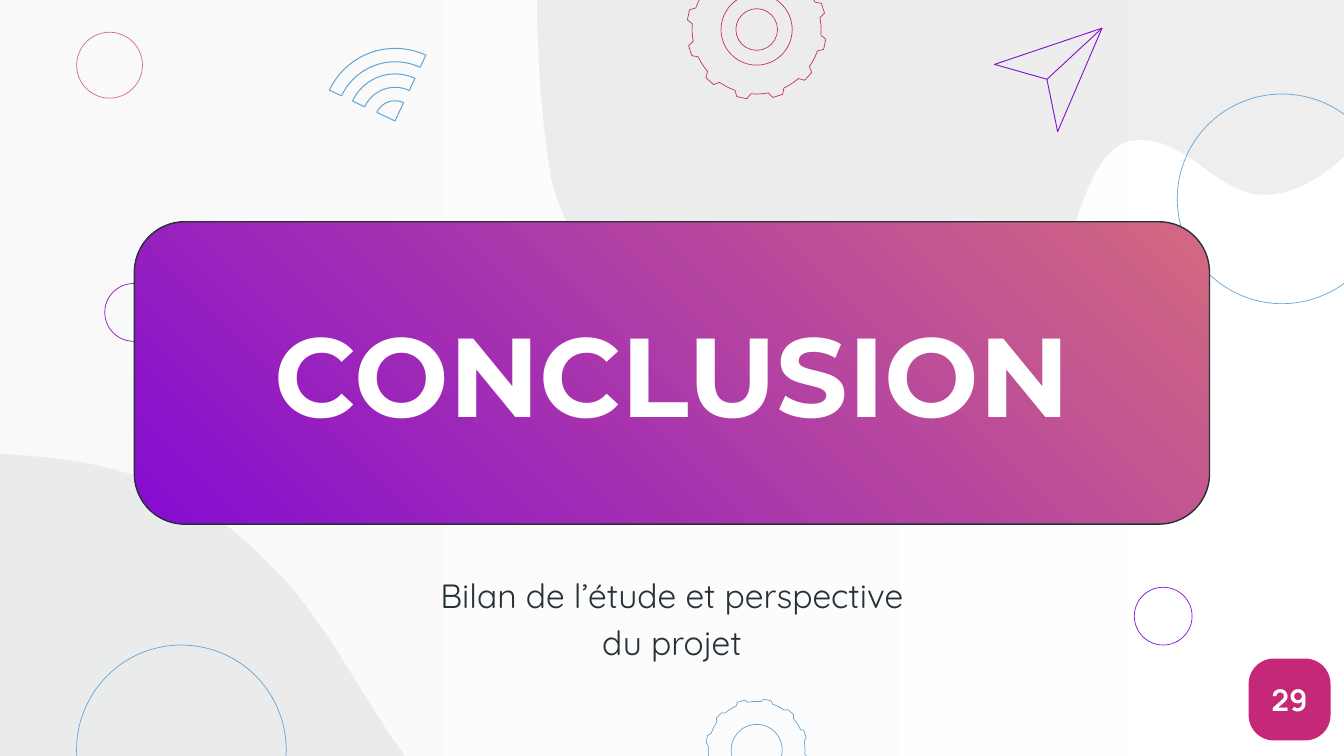
from math import cos, radians, sin

from lxml import etree
from pptx import Presentation
from pptx.dml.color import RGBColor
from pptx.enum.shapes import MSO_CONNECTOR, MSO_SHAPE
from pptx.enum.text import MSO_ANCHOR, PP_ALIGN
from pptx.oxml.ns import qn
from pptx.util import Inches, Pt

RECTANGLE, ROUNDED, OVAL = MSO_SHAPE.RECTANGLE, MSO_SHAPE.ROUNDED_RECTANGLE, MSO_SHAPE.OVAL
STRAIGHT = MSO_CONNECTOR.STRAIGHT
MIDDLE, CENTER = MSO_ANCHOR.MIDDLE, PP_ALIGN.CENTER

THEME = {
    "white": "FFFFFF", "mist": "F3F3F3", "grey": "D6D7D7", "ink": "263238",
    "blue": "63A4D5", "rose": "D36980", "violet": "860CD1", "magenta": "C52878",
    "alpha": 41, "thin": 0.36, "plane_line": 0.48, "wifi_line": 0.54, "panel_line": 0.75,
    "heading": ("Montserrat", 60, True),
    "subtitle": ("Quicksand", 18, False),
    "number": ("Manrope", 16, True),
}

HEADING = "CONCLUSION"
SUBTITLE = "Bilan de l’étude et perspective du projet"
PAGE_NUMBER = "29"

# Each blob is a start point, then steps: one point is a line, three are a Bézier curve.
BLOBS = [
    ((-0.63, 3.19), [
        [(-0.63, 8.63)], [(7.65, 8.63)],
        [(7.63, 8.55), (7.36, 7.24), (6.75, 6.93)],
        [(6.12, 6.62), (5.09, 6.69), (4.03, 6.38)],
        [(2.97, 6.08), (2.74, 4.96), (2.06, 4.25)],
        [(1.38, 3.54), (0.8, 3.43), (0.06, 3.38)],
        [(-0.25, 3.36), (-0.46, 3.28), (-0.63, 3.19)],
    ]),
    ((6.34, 2.93), [
        [(6.87, 2.93), (7.34, 2.76), (7.6, 2.46)],
        [(8.05, 1.94), (8.02, 1.04), (8.48, 1.04)],
        [(8.86, 1.04), (9.05, 1.45), (9.41, 1.45)],
        [(9.53, 1.45), (9.66, 1.41), (9.82, 1.31)],
        [(10.48, 0.88), (10.14, 0.31), (10.19, -0.05)],
        [(10.2, -0.14), (10.25, -0.17), (10.31, -0.17)],
        [(10.48, -0.17), (10.79, 0.03), (11.08, 0.03)],
        [(11.14, 0.03), (11.2, 0.02), (11.25, 0)],
        [(11.71, -0.15), (11.92, -0.57), (11.87, -0.81)],
        [(11.82, -1.06), (12.04, -1.37), (12.04, -1.37)],
        [(4.03, -1.37)],
        [(4.03, -1.37), (3.91, 0.24), (4.1, 1.32)],
        [(4.1, 1.32), (4.26, 2.16), (5.16, 2.63)],
        [(5.54, 2.83), (5.96, 2.93), (6.34, 2.93)],
    ]),
]

# left, top, diameter, colour
CIRCLES = [
    (0.57, 4.8, 1.56, "blue"), (0.57, 0.24, 0.49, "rose"), (8.44, 4.37, 0.43, "violet"),
    (8.76, 0.7, 1.56, "blue"), (0.78, 2.11, 0.43, "violet"),
]
# center x, center y, tip radius, root radius, diameters of inner rings, colour
GEARS = [
    (5.63, 0.22, 0.52, 0.48, (0.53, 0.31), "magenta"),
    (5.63, 5.58, 0.38, 0.36, (0.38,), "blue"),
]
GEAR_TEETH, GEAR_START = 12, 185
WIFI_CENTER, WIFI_BANDS = (2.94, 0.9), [(0, 0.15), (0.25, 0.35), (0.44, 0.54)]
WIFI_START, WIFI_END = 205, 295
PLANE = [(8.2, 0.21), (7.4, 0.48), (7.79, 0.59), (7.87, 0.98)]


def color(name):
    return RGBColor.from_string(THEME[name])


def style(shape, fill=None, line=None, width=THEME["thin"]):
    shape.shadow.inherit = False
    if fill:
        shape.fill.solid()
        shape.fill.fore_color.rgb = color(fill)
    else:
        shape.fill.background()
    if line:
        shape.line.color.rgb = color(line)
        shape.line.width = Pt(width)
    else:
        shape.line.fill.background()


def fill_gradient(shape, names, angle):
    shape.fill.gradient()
    shape.fill.gradient_angle = angle
    for stop, name, position in zip(shape.fill.gradient_stops, names, (0, 1)):
        stop.color.rgb = color(name)
        stop.position = position


def make_translucent(shape):
    for node in shape._element.spPr.iter(qn("a:srgbClr")):
        etree.SubElement(node, qn("a:alpha")).set("val", str(THEME["alpha"] * 1000))


def add_box(slide, kind, left, top, width, height):
    return slide.shapes.add_shape(kind, Inches(left), Inches(top), Inches(width), Inches(height))


def add_circle(slide, left, top, diameter, line):
    style(add_box(slide, OVAL, left, top, diameter, diameter), line=line)


def add_outline(slide, points):
    corners = [(Inches(x), Inches(y)) for x, y in points]
    builder = slide.shapes.build_freeform(*corners[0], scale=1.0)
    builder.add_line_segments(corners[1:], close=True)
    return builder.convert_to_shape()


def polar(x, y, radius, degrees):
    return x + radius * cos(radians(degrees)), y + radius * sin(radians(degrees))


def trace(start, steps, pieces=16):
    """Flatten lines and cubic curves into a list of points."""
    points = [start]
    for step in steps:
        if len(step) == 1:
            points += step
            continue
        controls = [points[-1], *step]
        for i in range(1, pieces + 1):
            t = i / pieces
            weights = ((1 - t) ** 3, 3 * t * (1 - t) ** 2, 3 * t * t * (1 - t), t ** 3)
            points.append(tuple(sum(w * p[axis] for w, p in zip(weights, controls))
                                for axis in (0, 1)))
    return points


def add_gear(slide, x, y, tip, root, rings, line):
    profile = [(0, root), (3, tip), (11.5, tip), (14.5, root), (20, root), (25, root)]
    points = [polar(x, y, radius, GEAR_START + tooth * 360 / GEAR_TEETH + offset)
              for tooth in range(GEAR_TEETH) for offset, radius in profile]
    style(add_outline(slide, points), line=line)
    for diameter in rings:
        add_circle(slide, x - diameter / 2, y - diameter / 2, diameter, line)


def add_wifi(slide):
    angles = range(WIFI_START, WIFI_END + 1, 5)
    for inner, outer in WIFI_BANDS:
        points = [polar(*WIFI_CENTER, outer, angle) for angle in angles]
        points += [polar(*WIFI_CENTER, inner, angle) for angle in reversed(angles)] if inner else [WIFI_CENTER]
        style(add_outline(slide, points), line="blue", width=THEME["wifi_line"])


def add_plane(slide):
    style(add_outline(slide, PLANE), line="violet", width=THEME["plane_line"])
    nose, fold = PLANE[0], PLANE[2]
    crease = slide.shapes.add_connector(STRAIGHT, *map(Inches, fold + nose))
    crease.line.color.rgb = color("violet")
    crease.line.width = Pt(THEME["plane_line"])
    etree.SubElement(crease._element.spPr, qn("a:effectLst"))


def write(shape, text, role, name, spacing=None, inset=0.1):
    frame = shape.text_frame
    frame.word_wrap = True
    frame.vertical_anchor = MIDDLE
    frame.margin_left = frame.margin_right = Inches(inset)
    frame.margin_top = frame.margin_bottom = Inches(inset)
    frame.text = text
    paragraph = frame.paragraphs[0]
    paragraph.alignment = CENTER
    paragraph.line_spacing = spacing
    font = paragraph.runs[0].font
    font.name, size, font.bold = THEME[role]
    font.size = Pt(size)
    font.color.rgb = color(name)


def main():
    presentation = Presentation()
    presentation.slide_width = Inches(10)
    presentation.slide_height = Inches(10 * 9 / 16)
    slide = presentation.slides.add_slide(presentation.slide_layouts[6])

    backdrop = add_box(slide, RECTANGLE, -0.07, -0.07, 10.14, 5.77)
    style(backdrop)
    fill_gradient(backdrop, ("white", "mist"), 180)
    make_translucent(backdrop)
    for start, steps in BLOBS:
        blob = add_outline(slide, trace(start, steps))
        style(blob, fill="grey")
        make_translucent(blob)
    for circle in CIRCLES:
        add_circle(slide, *circle)
    for gear in GEARS:
        add_gear(slide, *gear)

    panel = add_box(slide, ROUNDED, 1, 1.65, 8, 2.25)
    panel.adjustments[0] = 0.167
    style(panel, line="ink", width=THEME["panel_line"])
    fill_gradient(panel, ("rose", "violet"), 225)
    write(panel, HEADING, "heading", "white")

    add_wifi(slide)
    add_plane(slide)

    badge = add_box(slide, ROUNDED, 9.29, 4.9, 0.61, 0.61)
    badge.adjustments[0] = 0.31
    style(badge, fill="magenta")
    write(badge, PAGE_NUMBER, "number", "white", inset=0.05)

    subtitle = slide.shapes.add_textbox(Inches(3.03), Inches(4.07), Inches(3.94), Inches(1.02))
    write(subtitle, SUBTITLE, "subtitle", "ink", spacing=1.15)
    presentation.save("out.pptx")


if __name__ == "__main__":
    main()
